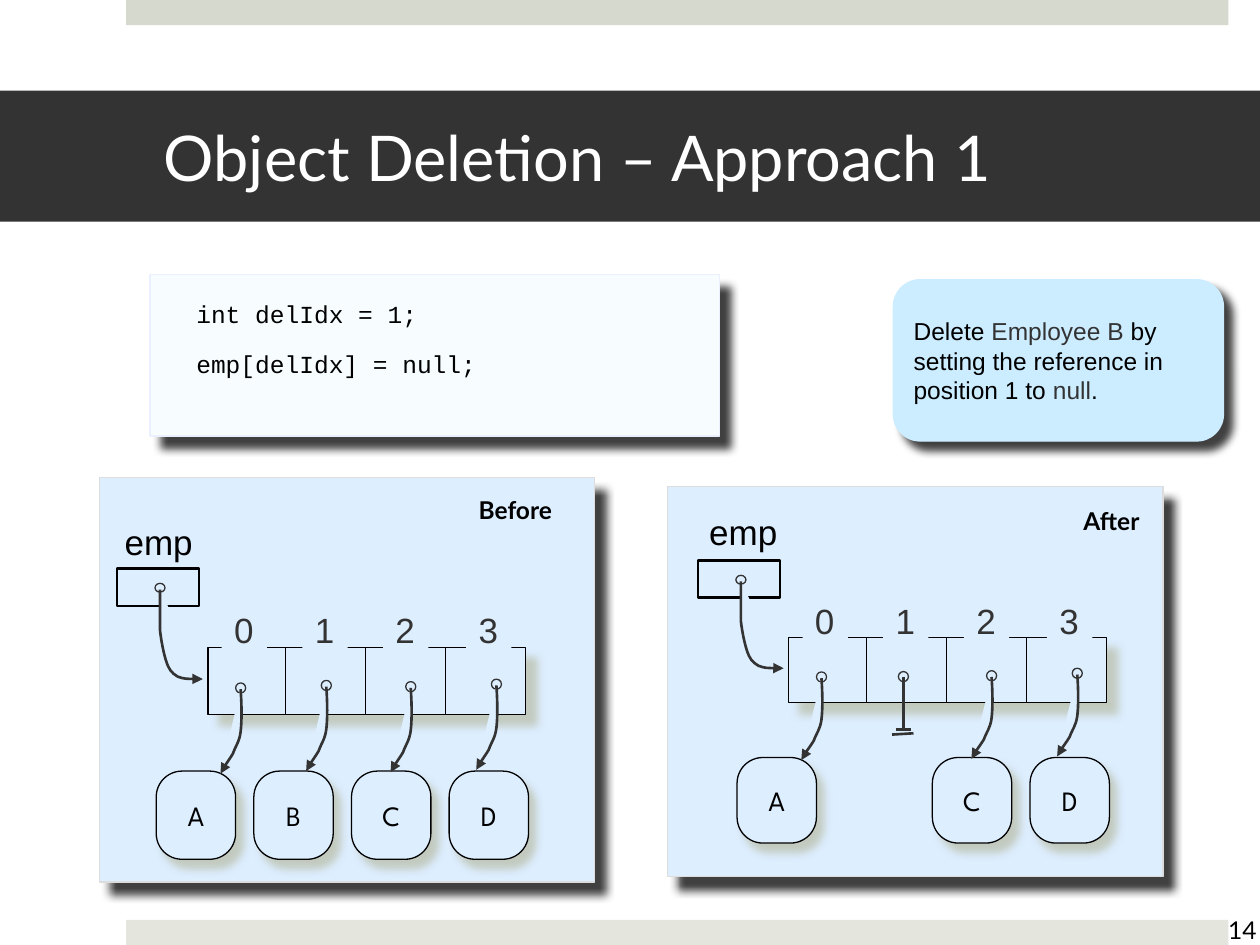
from lxml import etree
from pptx import Presentation
from pptx.dml.color import RGBColor
from pptx.enum.shapes import MSO_CONNECTOR, MSO_SHAPE
from pptx.enum.text import MSO_ANCHOR, PP_ALIGN
from pptx.oxml.ns import qn
from pptx.util import Inches, Pt

BLACK = RGBColor(0x00, 0x00, 0x00)
WHITE = RGBColor(0xFF, 0xFF, 0xFF)
DARK = RGBColor(0x33, 0x33, 0x33)
TOP_BAR = RGBColor(0xD6, 0xD9, 0xCD)
BOTTOM_BAR = RGBColor(0xE4, 0xE6, 0xDE)
CODE_FILL = RGBColor(0xF7, 0xFD, 0xFF)
CODE_EDGE = RGBColor(0xEA, 0xF0, 0xFE)
NOTE_FILL = RGBColor(0xCC, 0xEC, 0xFF)
PANEL_FILL = RGBColor(0xDD, 0xEE, 0xFF)
PANEL_EDGE = RGBColor(0xDD, 0xDD, 0xDD)
SOFT_SHADOW = RGBColor(0xBB, 0xC0, 0xAC)

TITLE = "Object Deletion – Approach 1"
PAGE_NUMBER = "14"
CODE = ["int delIdx = 1;", "emp[delIdx] = null;"]
NOTE = [
    ("Delete ", BLACK),
    ("Employee B ", DARK),
    ("by setting the reference in position 1 to ", BLACK),
    ("null", DARK),
    (".", BLACK),
]
# The diagram is laid out for the first panel; dx and the row scale move it.
PANELS = [
    dict(name="Before", box=(0.79, 3.79, 3.93, 3.21), name_box=(3.7, 3.88, 0.85, 0.33),
         label=(0.89, 4.08, 1.15, 0.43), dx=0, top=4.51, scale=1, objects="ABCD"),
    dict(name="After", box=(5.3, 3.86, 3.93, 3.1), name_box=(8.5, 3.97, 0.69, 0.33),
         label=(5.53, 4, 0.78, 0.43), dx=4.61, top=4.45, scale=0.97, objects="A CD"),
]
ROW_ORIGIN = 4.51
INDEX_LEFTS = [1.76, 2.4, 3.04, 3.7]
DOTS = [(1.87, 5.42), (2.55, 5.4), (3.22, 5.41), (3.9, 5.39)]
NULL_DOT = (7.13, 5.33)

# Cubic Bézier segments (two controls and an end), relative to the start point
VARIABLE_CURVE = [
    ((0, 0.11), (0, 0.22), (0, 0.32)),
    ((0.01, 0.41), (0.03, 0.51), (0.05, 0.57)),
    ((0.07, 0.63), (0.09, 0.66), (0.14, 0.69)),
    ((0.19, 0.71), (0.27, 0.71), (0.34, 0.71)),
]
CELL_CURVE = [
    ((0.01, 0.13), (0.01, 0.26), (0, 0.34)),
    ((-0.01, 0.42), (-0.04, 0.45), (-0.06, 0.51)),
    ((-0.09, 0.56), (-0.13, 0.61), (-0.16, 0.67)),
]

presentation = Presentation()
presentation.slide_width = Inches(10)
presentation.slide_height = Inches(7.5)
slide = presentation.slides.add_slide(presentation.slide_layouts[5])


def add_shadow(shape, color, distance, angle):
    effects = shape._element.spPr.find(qn("a:effectLst"))
    shadow = etree.SubElement(
        effects, qn("a:outerShdw"), blurRad=str(Pt(5)), dist=str(Pt(distance)),
        dir=str(angle * 60000), algn="ctr", rotWithShape="0")
    shadow_color = etree.SubElement(shadow, qn("a:srgbClr"), val=str(color))
    etree.SubElement(shadow_color, qn("a:alpha"), val="75000")


def add_box(box, fill, edge=None, width=0.75, kind=MSO_SHAPE.RECTANGLE, shadow=None):
    shape = slide.shapes.add_shape(kind, *map(Inches, box))
    shape.shadow.inherit = False
    shape.fill.solid()
    shape.fill.fore_color.rgb = fill
    if edge is None:
        shape.line.fill.background()
    else:
        shape.line.color.rgb = edge
        shape.line.width = Pt(width)
    if shadow:
        add_shadow(shape, *shadow)
    return shape


def write(shape, lines, size, font, color=BLACK, align=PP_ALIGN.LEFT,
          anchor=MSO_ANCHOR.TOP, wrap=True, bold=False, spacing=None):
    """Fill the shape; each line is a string or a list of (words, color) runs."""
    frame = shape.text_frame
    frame.word_wrap = wrap
    frame.vertical_anchor = anchor
    for number, line in enumerate(lines):
        paragraph = frame.add_paragraph() if number else frame.paragraphs[0]
        paragraph.alignment = align
        paragraph.line_spacing = spacing
        if number:
            paragraph.space_before = Pt(3)
        paragraph.font.size = Pt(size)
        paragraph.font.name = font
        paragraph.font.bold = bold
        for words, run_color in [(line, color)] if isinstance(line, str) else line:
            run = paragraph.add_run()
            run.text = words
            run.font.color.rgb = run_color


def add_line(x1, y1, x2, y2, color=BLACK, width=0.75):
    line = slide.shapes.add_connector(
        MSO_CONNECTOR.STRAIGHT, *map(Inches, (x1, y1, x2, y2)))
    line.line.color.rgb = color
    line.line.width = Pt(width)
    etree.SubElement(line._element.spPr, qn("a:effectLst"))


def add_curved_arrow(x, y, curve, scale):
    """Build the outline through the segment ends, then bend each segment."""
    segments = [[(Inches(x + dx), Inches(y + dy * scale)) for dx, dy in segment]
                for segment in curve]
    builder = slide.shapes.build_freeform(Inches(x), Inches(y))
    builder.add_line_segments([segment[-1] for segment in segments], close=False)
    arrow = builder.convert_to_shape()
    for straight, segment in zip(list(arrow._element.iter(qn("a:lnTo"))), segments):
        bend = etree.Element(qn("a:cubicBezTo"))
        for point_x, point_y in segment:
            etree.SubElement(bend, qn("a:pt"), x=str(point_x - arrow.left),
                             y=str(point_y - arrow.top))
        straight.getparent().replace(straight, bend)
    arrow.shadow.inherit = False
    arrow.fill.solid()
    arrow.fill.fore_color.rgb = PANEL_FILL
    arrow.line.color.rgb = DARK
    arrow.line.width = Pt(1.5)
    etree.SubElement(arrow.line._get_or_add_ln(), qn("a:tailEnd"), type="triangle")


def add_dot(x, y, height=0.08):
    add_box((x, y, 0.08, height), PANEL_FILL, DARK, kind=MSO_SHAPE.OVAL)


def add_null_reference(x, y):
    add_dot(x, y)
    center = x + 0.04
    add_line(center, y + 0.04, center, y + 0.47, DARK, 1.5)
    add_line(center - 0.06, y + 0.46, center + 0.06, y + 0.46, DARK, 1.5)
    add_line(center - 0.09, y + 0.5, center + 0.08, y + 0.49, DARK, 1.5)


def add_panel(panel):
    dx, scale = panel["dx"], panel["scale"]

    def row(y):
        return panel["top"] + (y - ROW_ORIGIN) * scale

    add_box(panel["box"], PANEL_FILL, PANEL_EDGE, shadow=(BLACK, 9.2, 49))
    array_top, array_height = row(5.14), 0.53 * scale
    add_box((1.65 + dx, array_top, 2.52, array_height), PANEL_FILL, BLACK,
            shadow=(SOFT_SHADOW, 8.5, 45))
    for divider in range(3):
        x = 2.265 + dx + divider * 0.635
        add_line(x, array_top, x, array_top + array_height)
    for index, left in enumerate(INDEX_LEFTS):
        label = add_box((left + dx, row(4.78), 0.36, 0.43), PANEL_FILL)
        write(label, [str(index)], 20, "Arial", DARK, wrap=False)

    write(add_box(panel["label"], PANEL_FILL), ["emp"], 20, "Arial")
    add_box((0.93 + dx, row(4.51), 0.65, 0.3 * scale), PANEL_FILL, BLACK, 1.5)
    add_dot(1.23 + dx, row(4.63), 0.07)
    add_curved_arrow(1.27 + dx, row(4.68), VARIABLE_CURVE, scale)

    for index, (name, (x, y)) in enumerate(zip(panel["objects"], DOTS)):
        if name == " ":
            add_null_reference(*NULL_DOT)
            continue
        item = add_box((1.24 + dx + index * 0.775, row(6.12), 0.63, 0.7 * scale),
                       PANEL_FILL, BLACK, kind=MSO_SHAPE.ROUNDED_RECTANGLE,
                       shadow=(SOFT_SHADOW, 6.4, 51))
        item.adjustments[0] = 0.325
        write(item, [name], 16, "League Spartan", align=PP_ALIGN.CENTER,
              anchor=MSO_ANCHOR.MIDDLE, wrap=False)
        add_dot(x + dx, row(y))
        add_curved_arrow(x + dx + 0.04, row(y) + 0.05, CELL_CURVE, scale)

    heading = slide.shapes.add_textbox(*map(Inches, panel["name_box"]))
    write(heading, [panel["name"]], 14, "Lato", wrap=False, bold=True)


add_box((1, 0, 8.75, 0.2), TOP_BAR)
add_box((1, 7.3, 8.75, 0.2), BOTTOM_BAR)
page = slide.shapes.add_textbox(*map(Inches, (9.61, 7.18, 0.5, 0.4)))
write(page, [PAGE_NUMBER], 14, "Lato", align=PP_ALIGN.CENTER, anchor=MSO_ANCHOR.MIDDLE)

title = slide.shapes.title
title.left, title.top, title.width, title.height = map(Inches, (0, 0.72, 10, 1.04))
title.fill.solid()
title.fill.fore_color.rgb = DARK
title.text_frame.margin_left = Inches(1.3)
title.text_frame.margin_right = Inches(0.3)
write(title, [TITLE], 36, "Lato", WHITE, anchor=MSO_ANCHOR.MIDDLE)

add_box((1.19, 2.18, 4.52, 1.28), CODE_FILL, CODE_EDGE, shadow=(BLACK, 9.2, 49))
code = add_box((1.46, 2.21, 4.08, 0.85), CODE_FILL)
write(code, CODE, 14, "Courier New", spacing=1.5)

note = add_box((7.09, 2.22, 2.62, 1.28), NOTE_FILL, NOTE_FILL,
               kind=MSO_SHAPE.ROUNDED_RECTANGLE, shadow=(BLACK, 7.1, 45))
write(note, [NOTE], 14, "Arial", anchor=MSO_ANCHOR.MIDDLE)

for panel in PANELS:
    add_panel(panel)

presentation.save("out.pptx")
